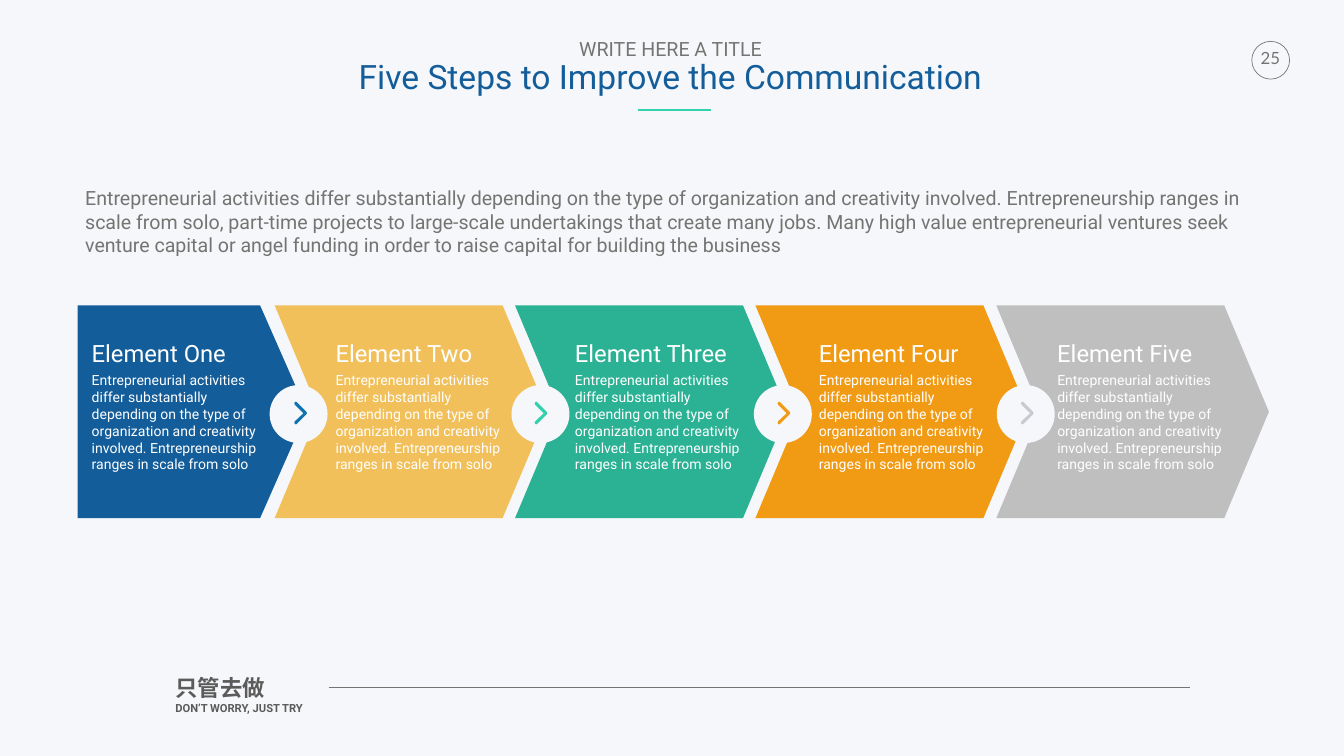
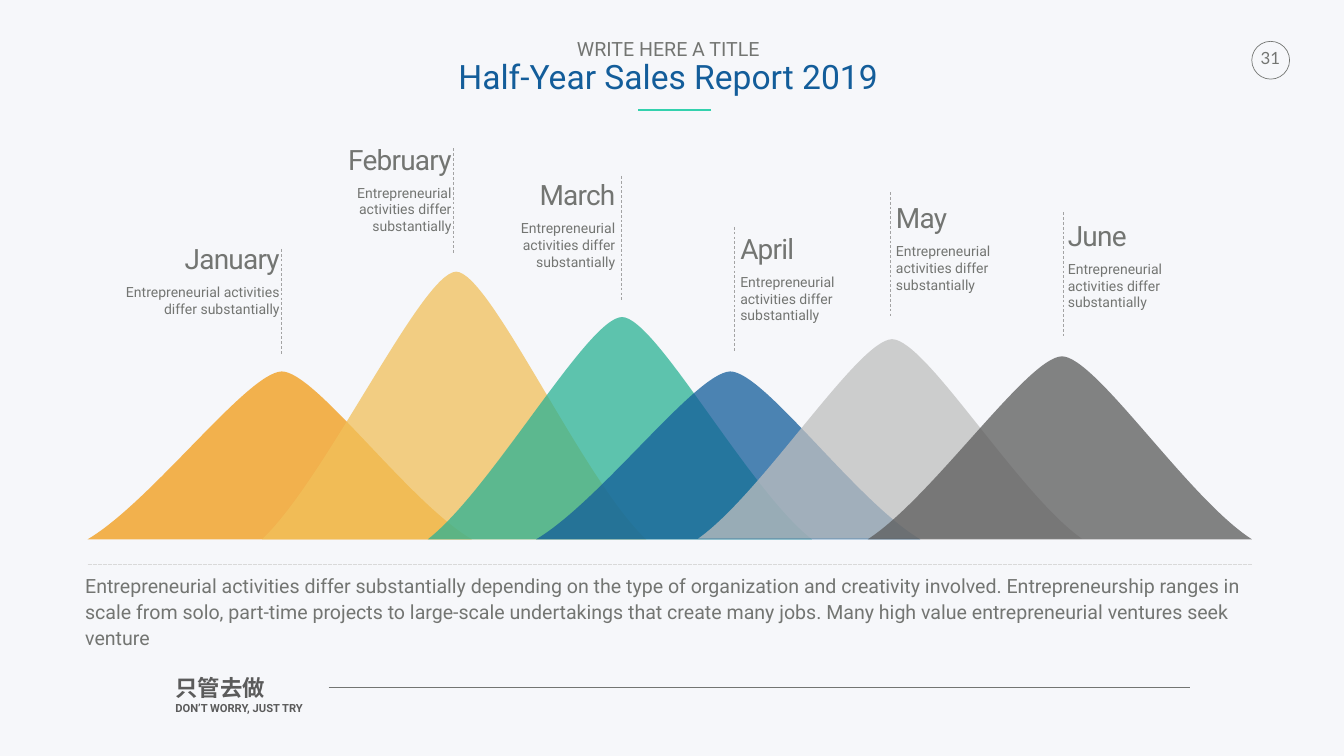
from collections import namedtuple
from dataclasses import dataclass

from lxml.etree import SubElement
from pptx import Presentation
from pptx.dml.color import RGBColor
from pptx.enum.dml import MSO_LINE
from pptx.enum.shapes import MSO_CONNECTOR, MSO_SHAPE
from pptx.enum.text import MSO_ANCHOR, MSO_AUTO_SIZE, PP_ALIGN
from pptx.oxml.ns import qn
from pptx.util import Pt

PX = 9144
Box = namedtuple("Box", "left top width height")


@dataclass(frozen=True)
class Theme:
    background: str = "F6F7FA"
    gray: str = "737572"
    dark: str = "5B5B5B"
    silver: str = "BFBFBF"
    blue: str = "135D9A"
    yellow: str = "F1C05A"
    green: str = "2BB294"
    orange: str = "F19A14"
    mint: str = "33D1AD"
    sky: str = "0D73B2"
    mist: str = "CAC9D0"
    guide: str = "A3A3A3"
    divider: str = "D9D9D9"
    white: str = "FFFFFF"
    font: str = "Roboto"
    number_font: str = "Lato"
    title_size: int = 48
    month_size: int = 40
    element_size: int = 34
    slogan_size: int = 32
    body_size: int = 28
    number_size: int = 24
    detail_size: int = 20
    motto_size: int = 16


THEME = Theme()
INTRO = (
    "Entrepreneurial activities differ substantially depending on the type of "
    "organization and creativity involved. Entrepreneurship ranges in scale from solo"
)
SUMMARY = (
    INTRO + ", part-time projects to large-scale undertakings that create many jobs. "
    "Many high value entrepreneurial ventures seek venture"
)
FULL_SUMMARY = (
    SUMMARY + " capital or angel funding in order to raise capital for building the business"
)
MONTH_DETAIL = "Entrepreneurial activities differ substantially"


def emu(*lengths):
    return [round(length * PX) for length in lengths]


def write_text(frame, text, *, size, color=THEME.gray, font=THEME.font, bold=False,
               align=PP_ALIGN.LEFT, line_spacing=None, space_before=None, tracking=None):
    paragraph = frame.paragraphs[0]
    if paragraph.runs:
        paragraph = frame.add_paragraph()
    paragraph.alignment = align
    if line_spacing is not None:
        paragraph.line_spacing = line_spacing
    if space_before is not None:
        paragraph.space_before = Pt(space_before)
    run = paragraph.add_run()
    run.text = text
    run.font.size = Pt(size)
    run.font.name = font
    run.font.bold = bold
    run.font.color.rgb = RGBColor.from_string(color)
    if tracking is not None:
        run.font._element.set("spc", str(tracking))


def add_frame(shapes, box, inset=5, wrap=True, anchor=MSO_ANCHOR.TOP):
    frame = shapes.add_textbox(*emu(*box)).text_frame
    frame.word_wrap = wrap
    frame.auto_size = MSO_AUTO_SIZE.SHAPE_TO_FIT_TEXT
    frame.vertical_anchor = anchor
    margin = emu(inset)[0]
    frame.margin_left = frame.margin_right = margin
    frame.margin_top = frame.margin_bottom = margin
    return frame


def paint(shape, color, opacity=100):
    shape.shadow.inherit = False
    shape.line.fill.background()
    shape.fill.solid()
    shape.fill.fore_color.rgb = RGBColor.from_string(color)
    if opacity < 100:
        color_element = next(shape.element.spPr.iter(qn("a:srgbClr")))
        SubElement(color_element, qn("a:alpha")).set("val", str(opacity * 1000))


def add_preset(shapes, preset, box, color, adjustment=None):
    shape = shapes.add_shape(preset, *emu(*box))
    if adjustment is not None:
        shape.adjustments[0] = adjustment
    paint(shape, color)


def add_outline(shapes, box, points, color, opacity=100):
    corners = [emu(box.left + x, box.top + y) for x, y in points]
    builder = shapes.build_freeform(*corners[0])
    builder.add_line_segments(corners[1:], close=True)
    shape = builder.convert_to_shape()
    paint(shape, color, opacity)
    return shape


def bend_outline(shape):
    segments = list(shape.element.spPr.iter(qn("a:lnTo")))
    for first, second, end in zip(segments[::3], segments[1::3], segments[2::3]):
        first.tag = qn("a:cubicBezTo")
        for segment in (second, end):
            first.append(segment[0])
            segment.getparent().remove(segment)


def add_line(shapes, start, end, color, width, dashed=False):
    connector = shapes.add_connector(MSO_CONNECTOR.STRAIGHT, *emu(*start, *end))
    connector.line.color.rgb = RGBColor.from_string(color)
    connector.line.width = Pt(width)
    if dashed:
        connector.line.dash_style = MSO_LINE.DASH
    SubElement(connector.element.spPr, qn("a:effectLst"))


def add_heading(slide, box, title):
    frame = add_frame(slide.shapes, box, wrap=False)
    write_text(frame, "WRITE HERE A TITLE", size=THEME.body_size,
               align=PP_ALIGN.CENTER, line_spacing=0.9)
    write_text(frame, title, size=THEME.title_size, color=THEME.blue,
               align=PP_ALIGN.CENTER, line_spacing=0.9)
    rule_top = box.top + 144
    add_line(slide.shapes, (1411, rule_top), (1267, rule_top), THEME.mint, 3)


def add_page_number(slide, box, number):
    ring = slide.shapes.add_shape(MSO_SHAPE.OVAL, *emu(*box))
    ring.shadow.inherit = False
    ring.fill.background()
    ring.line.color.rgb = RGBColor.from_string(THEME.gray)
    ring.line.width = Pt(1)
    frame = add_frame(slide.shapes, Box(box.left + 8, box.top + 8, 58, 60), wrap=False)
    write_text(frame, number, size=THEME.number_size, font=THEME.number_font,
               align=PP_ALIGN.CENTER)


def add_footer(slide, box):
    frame = add_frame(slide.shapes, Box(box.left, box.top, 399, box.height))
    write_text(frame, "只管去做", size=THEME.slogan_size, color=THEME.dark, bold=True)
    write_text(frame, "DON’T WORRY, JUST TRY", size=THEME.motto_size,
               color=THEME.dark, bold=True)
    rule_top = box.top + 31
    add_line(slide.shapes, (box.left + 309, rule_top), (box.left + box.width, rule_top),
             THEME.gray, 0.25)


def add_base_slide(presentation, title, title_box, number):
    slide = presentation.slides.add_slide(presentation.slide_layouts[6])
    slide.background.fill.solid()
    slide.background.fill.fore_color.rgb = RGBColor.from_string(THEME.background)
    add_page_number(slide, Box(2484, 82, 75, 75), number)
    add_footer(slide, Box(343, 1333, 2019, 99))
    add_heading(slide, title_box, title)
    return slide


def add_next_button(shapes, box, arrow_offset, color):
    add_preset(shapes, MSO_SHAPE.OVAL, box, THEME.background)
    arrow = Box(box.left + arrow_offset, box.top + 33, 25, 45)
    upper = [(1, 6), (0, 3), (1, 1), (3, 0), (5, 1), (24, 20)]
    lower = [(x, arrow.height - y) for x, y in reversed(upper)]
    points = upper + [(25, 23)] + lower + [(18, 23)]
    add_outline(shapes, arrow, points, color)


def add_element(slide, box, preset, adjustment, name, color, text_left, name_width, button):
    shapes = slide.shapes.add_group_shape().shapes
    add_preset(shapes, preset, box, color, adjustment)
    if button:
        button_offset, arrow_offset, arrow_color = button
        button_box = Box(box.left + button_offset, box.top + 158, 115, 115)
        add_next_button(shapes, button_box, arrow_offset, arrow_color)
    frame = add_frame(shapes, Box(text_left, box.top + 127, 358, 210))
    write_text(frame, INTRO, size=THEME.detail_size, color=THEME.white)
    frame = add_frame(shapes, Box(text_left, box.top + 62, name_width, 67), wrap=False)
    write_text(frame, name, size=THEME.element_size, color=THEME.white)


def add_element_row(slide, box):
    elements = [
        ("Element One", THEME.blue, 23, 287, (381, 49, THEME.sky)),
        ("Element Two", THEME.yellow, 507, 284, (470, 46, THEME.mint)),
        ("Element Three", THEME.green, 982, 320, (474, 47, THEME.orange)),
        ("Element Four", THEME.orange, 1466, 295, (479, 48, THEME.mist)),
        ("Element Five", THEME.silver, 1939, 287, None),
    ]
    for index, (name, color, text_offset, name_width, button) in reversed(
        list(enumerate(elements))
    ):
        if index:
            part = Box(box.left + 391 + 1432 * (index - 1) // 3, box.top, 541, box.height)
            preset, adjustment = MSO_SHAPE.CHEVRON, 0.21
        else:
            part = Box(box.left, box.top, 455, box.height)
            preset, adjustment = MSO_SHAPE.PENTAGON, 0.22
        add_element(slide, part, preset, adjustment, name, color,
                    box.left + text_offset, name_width, button)


def build_steps_slide(presentation):
    slide = add_base_slide(presentation, "Five Steps to Improve the Communication",
                           Box(704, 74, 1253, 133), "25")
    frame = add_frame(slide.shapes, Box(164, 364, 2339, 152))
    write_text(frame, FULL_SUMMARY, size=THEME.body_size)
    add_element_row(slide, Box(154, 606, 2364, 422))


def add_mountain(slide, box, color):
    shoulder = 0.775 * box.height
    points = [
        (0, box.height),
        (127, shoulder), (317, 2), (385, 0),
        (452, 0), (635, shoulder), (box.width, box.height),
    ]
    bend_outline(add_outline(slide.shapes, box, points, color, opacity=75))


def add_sales_range(slide, box):
    mountains = [
        (0, 198, 333, THEME.orange),
        (346, 0, 531, THEME.yellow),
        (675, 90, 441, THEME.green),
        (890, 198, 333, THEME.blue),
        (1211, 134, 396, THEME.silver),
        (1548, 168, 363, THEME.dark),
    ]
    for left, top, height, color in mountains:
        add_mountain(slide, Box(box.left + left, box.top + top, 762, height), color)


def add_month(slide, box, month, align, guide):
    guide_left, guide_top, guide_bottom = guide
    add_line(slide.shapes, (guide_left, guide_top), (guide_left, guide_bottom),
             THEME.guide, 1, dashed=True)
    frame = add_frame(slide.shapes, box, inset=13)
    write_text(frame, month, size=THEME.month_size, align=align, tracking=-110)
    write_text(frame, MONTH_DETAIL, size=THEME.detail_size, align=align, space_before=12)


def build_sales_slide(presentation):
    slide = add_base_slide(presentation, "Half-Year Sales Report 2019",
                           Box(897, 74, 858, 133), "31")
    add_sales_range(slide, Box(174, 539, 2310, 531))
    months = [
        ("January", Box(229, 466, 339, 177), PP_ALIGN.RIGHT, (559, 494, 704)),
        ("February", Box(620, 269, 289, 210), PP_ALIGN.RIGHT, (900, 294, 505)),
        ("March", Box(941, 339, 293, 210), PP_ALIGN.RIGHT, (1233, 349, 599)),
        ("April", Box(1456, 446, 289, 210), PP_ALIGN.LEFT, (1457, 450, 700)),
        ("May", Box(1765, 385, 289, 210), PP_ALIGN.LEFT, (1766, 381, 630)),
        ("June", Box(2106, 420, 289, 210), PP_ALIGN.LEFT, (2110, 421, 671)),
    ]
    for month, box, align, guide in months:
        add_month(slide, box, month, align, guide)
    add_line(slide.shapes, (174, 1120), (2484, 1120), THEME.divider, 0.25, dashed=True)
    frame = add_frame(slide.shapes, Box(169, 1136, 2337, 151), inset=0, anchor=MSO_ANCHOR.MIDDLE)
    write_text(frame, SUMMARY, size=THEME.body_size, line_spacing=1.1, space_before=30)


def main():
    presentation = Presentation()
    presentation.slide_width, presentation.slide_height = emu(2667, 1500)
    build_steps_slide(presentation)
    build_sales_slide(presentation)
    presentation.save("out.pptx")


if __name__ == "__main__":
    main()
